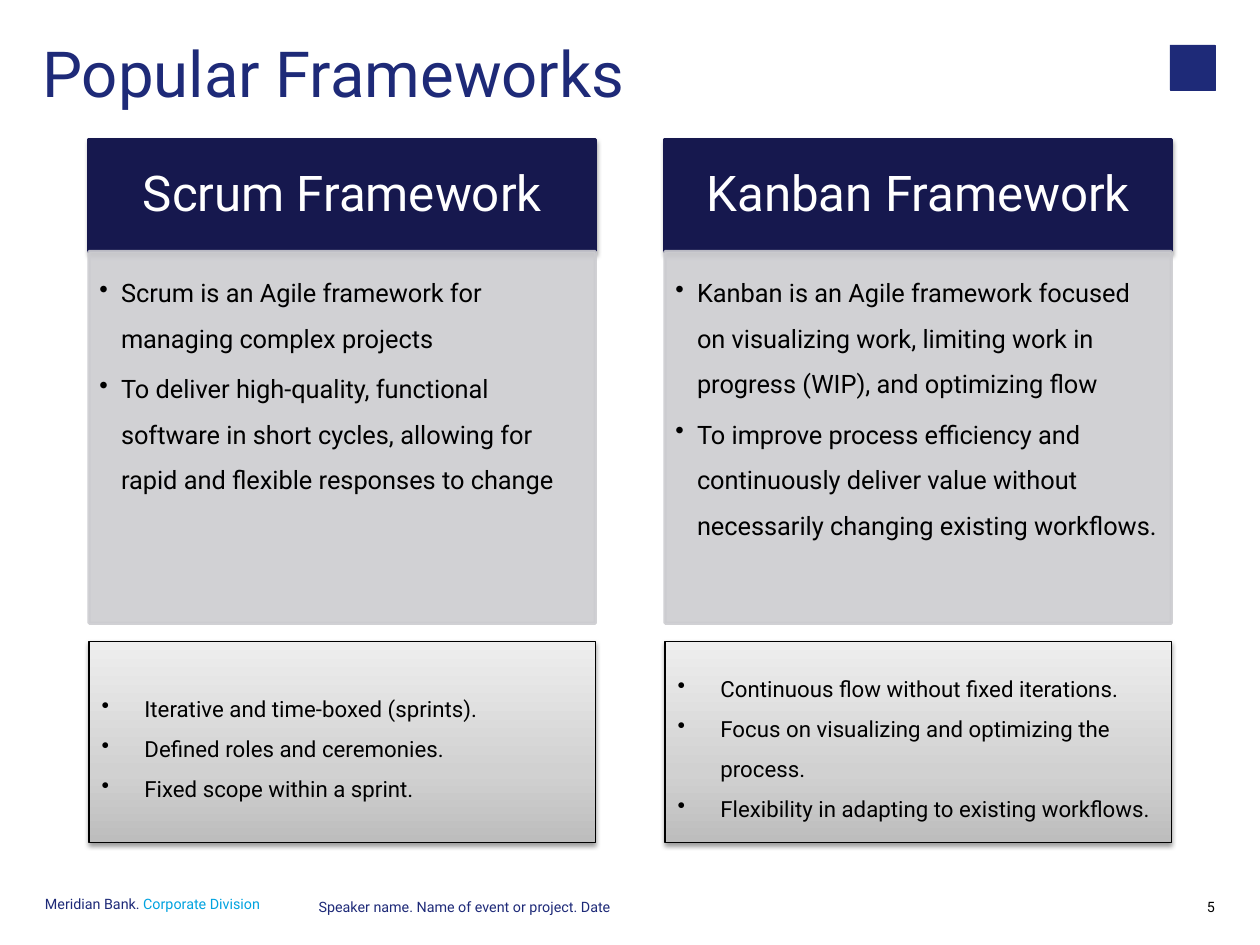
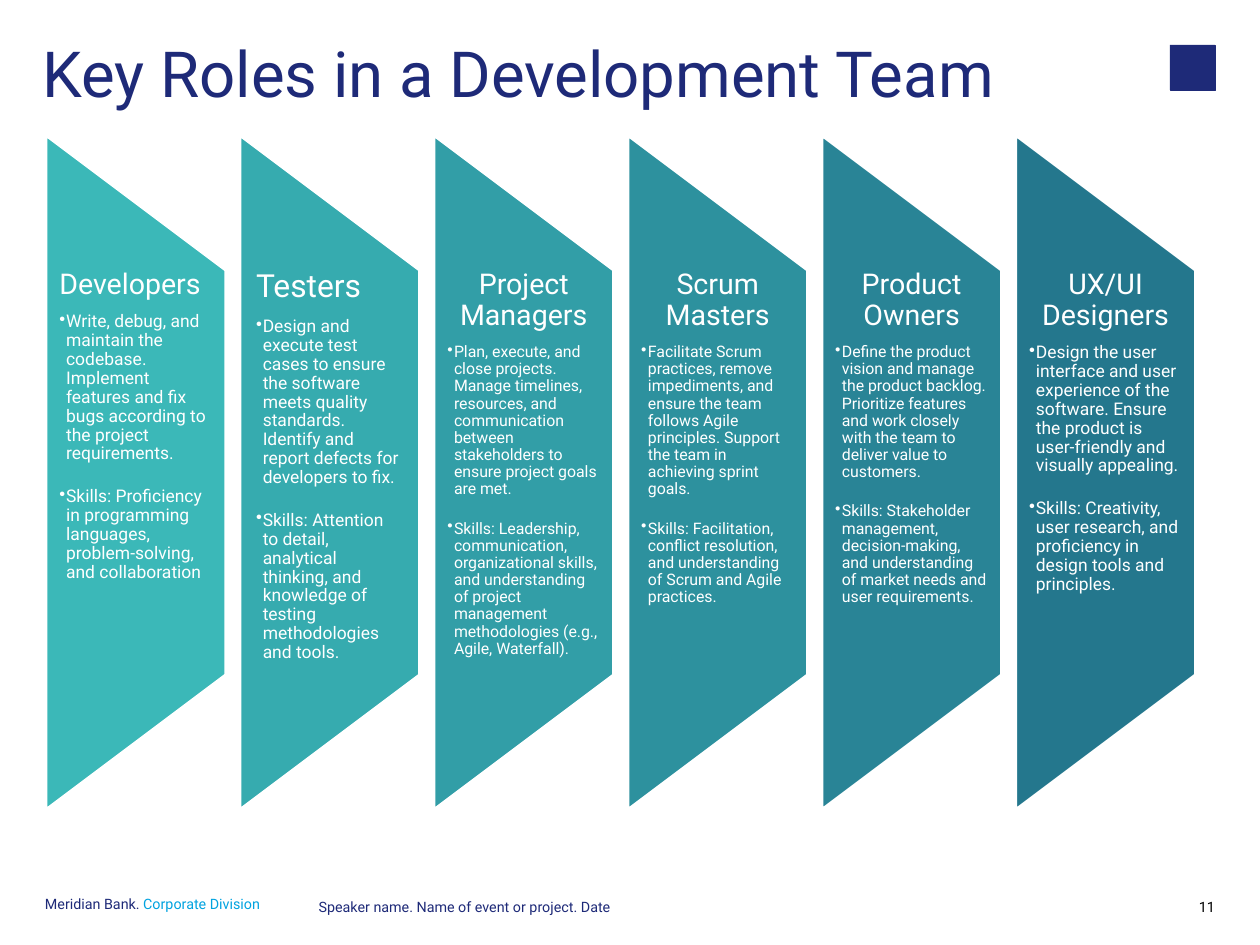
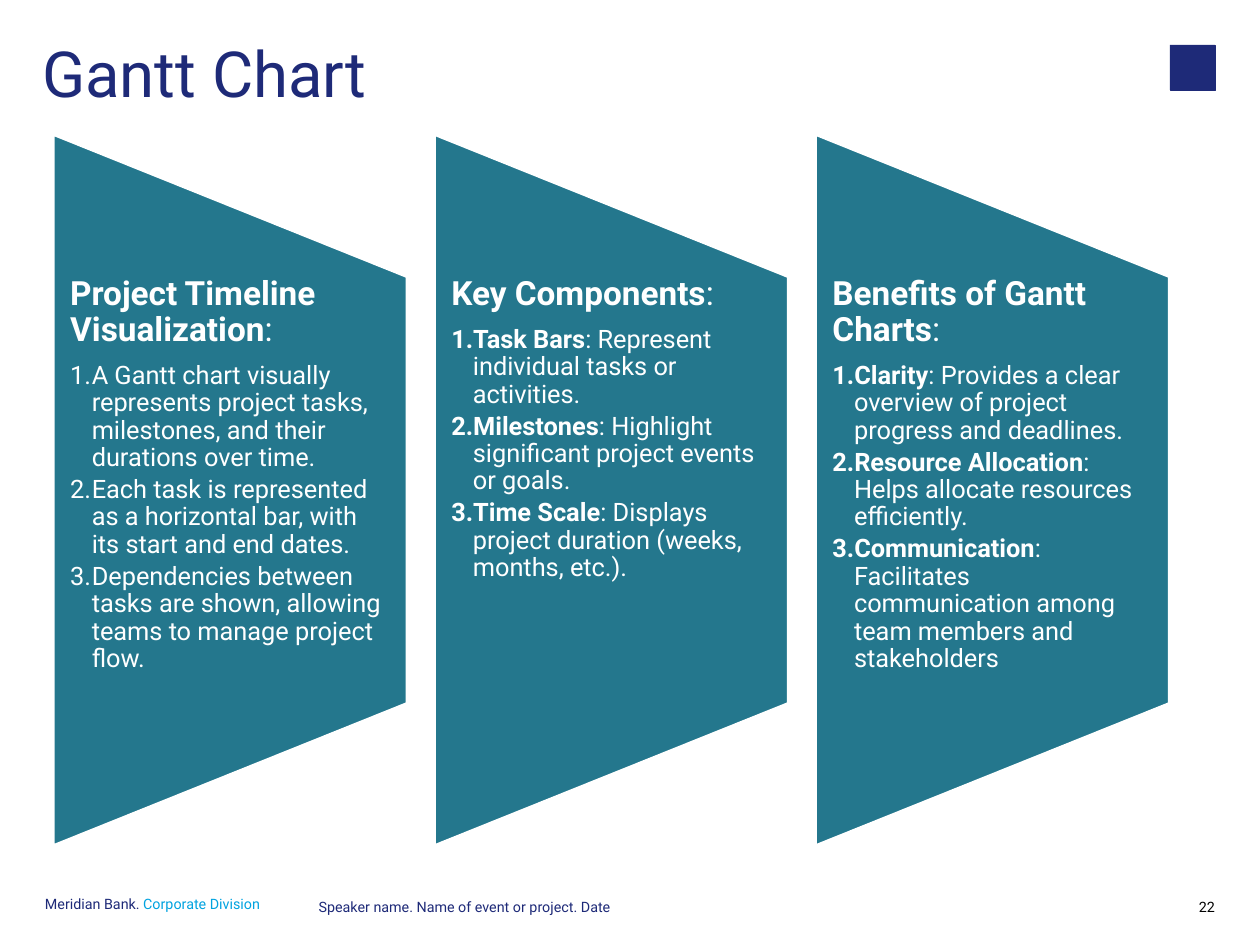
from copy import deepcopy
from dataclasses import dataclass

from lxml.etree import SubElement
from pptx import Presentation
from pptx.dml.color import RGBColor
from pptx.enum.shapes import MSO_SHAPE
from pptx.enum.text import MSO_ANCHOR, MSO_AUTO_SIZE, PP_ALIGN
from pptx.oxml.ns import qn
from pptx.util import Cm, Pt


@dataclass(frozen=True)
class Theme:
    font: str = "Roboto"
    # Colours
    blue: str = "1E2A78"
    sky: str = "00A3E0"
    navy: str = "16184E"
    gray: str = "CCCCD0"
    black: str = "000000"
    white: str = "FFFFFF"
    teal_light: str = "3BB8B8"
    teal_dark: str = "24778D"
    card_stops: tuple = ((0, "BDBDBD"), (0.35, "D1D1D1"), (1, "EEEEEE"))
    # Type sizes
    title: int = 40
    banner: int = 31
    heading: int = 21
    role: int = 18
    text: int = 16
    card: int = 14
    footer: int = 9
    # Spacing as a share of the type size
    after_heading: float = 0.42
    after_item: float = 0.18
    before_skills: float = 1.2


THEME = Theme()


def rgb(color):
    return RGBColor.from_string(color)


# ---------- Text ----------
def prepare_frame(frame, insets=(0, 0, 0, 0), anchor=MSO_ANCHOR.TOP):
    frame.word_wrap = True
    frame.auto_size = MSO_AUTO_SIZE.NONE
    frame.vertical_anchor = anchor
    (frame.margin_left, frame.margin_top,
     frame.margin_right, frame.margin_bottom) = map(Cm, insets)
    return frame


def set_bullet(paragraph, indent, numbered):
    properties = paragraph._p.get_or_add_pPr()
    properties.set("marL", str(Cm(indent)))
    properties.set("indent", str(-Cm(indent)))
    if numbered:
        SubElement(properties, qn("a:buAutoNum")).set("type", "arabicPeriod")
    else:
        SubElement(properties, qn("a:buChar")).set("char", "•")


def write(paragraph, text, size, color, align=PP_ALIGN.LEFT, line=0.9,
          before=0, after=0, indent=None, numbered=False):
    """Fill a paragraph; a (lead, rest) pair sets the lead in bold."""
    paragraph.alignment = align
    paragraph.line_spacing = line
    paragraph.space_before = Pt(before)
    paragraph.space_after = Pt(after)
    if indent:
        set_bullet(paragraph, indent, numbered)
    font = paragraph.font
    font.name, font.size, font.color.rgb = THEME.font, Pt(size), rgb(color)
    if isinstance(text, str):
        paragraph.add_run().text = text
        return
    for part, bold in zip(text, (True, False)):
        run = paragraph.add_run()
        run.text = part
        run.font.bold = bold


def write_list(frame, items, **style):
    for number, item in enumerate(items):
        paragraph = frame.add_paragraph() if number else frame.paragraphs[0]
        write(paragraph, item, **style)


def add_text_box(slide, box, insets=(0, 0, 0, 0)):
    return prepare_frame(slide.shapes.add_textbox(*map(Cm, box)).text_frame, insets)


# ---------- Shapes ----------
def add_block(slide, kind, box, fill, line, line_width):
    block = slide.shapes.add_shape(kind, *map(Cm, box))
    block.shadow.inherit = False
    block.fill.solid()
    block.fill.fore_color.rgb = rgb(fill)
    block.line.color.rgb = rgb(line)
    block.line.width = Pt(line_width)
    return block


def add_drop_shadow(block):
    effects = block.element.spPr.find(qn("a:effectLst"))
    shadow = SubElement(effects, qn("a:outerShdw"), blurRad=str(Pt(3.1)),
                        dist=str(Pt(1.6)), dir="5400000", rotWithShape="0")
    color = SubElement(shadow, qn("a:srgbClr"), val=THEME.black)
    SubElement(color, qn("a:alpha"), val="38000")


def make_translucent(block, percent):
    for color in block.element.spPr.iter(qn("a:srgbClr")):
        SubElement(color, qn("a:alpha"), val=str(percent * 1000))


def set_card_gradient(block):
    block.fill.gradient()
    block.fill.gradient_angle = 90
    stop_list = block.element.spPr.find(".//" + qn("a:gsLst"))
    stop_list.append(deepcopy(stop_list[0]))
    for stop, (position, color) in zip(block.fill.gradient_stops, THEME.card_stops):
        stop.position = position
        stop.color.rgb = rgb(color)


# ---------- Shared frame of every slide ----------
def add_framed_slide(deck, title, number):
    slide = deck.slides.add_slide(deck.slide_layouts[5])

    # Title
    heading = slide.shapes.title
    heading.left, heading.top, heading.width, heading.height = map(
        Cm, (0.94, 0.94, 24.05, 1.55))
    frame = prepare_frame(heading.text_frame)
    write(frame.paragraphs[0], title, THEME.title, THEME.blue)

    # Emblem
    add_block(slide, MSO_SHAPE.RECTANGLE, (26, 1, 1, 1), THEME.blue, THEME.blue, 0.25)

    # Footer
    owner = add_text_box(slide, (1, 19.95, 5.56, 0.5)).paragraphs[0]
    write(owner, "Meridian Bank. ", THEME.footer, THEME.blue, line=Pt(9))
    division = owner.add_run()
    division.text = "Corporate Division"
    division.font.color.rgb = rgb(THEME.sky)
    event = add_text_box(slide, (7.08, 20.02, 13.72, 0.5)).paragraphs[0]
    write(event, "Speaker name. Name of event or project. Date",
          THEME.footer, THEME.blue, line=Pt(9))
    page = add_text_box(slide, (26, 20.02, 1, 0.5)).paragraphs[0]
    write(page, str(number), THEME.footer, THEME.black, PP_ALIGN.RIGHT, line=Pt(9))
    return slide


# ---------- Regions ----------
def add_framework(slide, box, name, points, traits):
    left, top, width, height = box
    banner_height, card_height, gap = 2.49, 4.47, 0.4
    body_height = height - banner_height - card_height - gap

    # Banner
    banner = add_block(slide, MSO_SHAPE.RECTANGLE, (left, top, width, banner_height),
                       THEME.navy, THEME.navy, 2)
    add_drop_shadow(banner)
    frame = prepare_frame(banner.text_frame, (0.61, 0.36, 0.61, 0.36), MSO_ANCHOR.MIDDLE)
    write(frame.paragraphs[0], name, THEME.banner, THEME.white, PP_ALIGN.CENTER)

    # Description
    body = add_block(slide, MSO_SHAPE.RECTANGLE,
                     (left, top + banner_height, width, body_height),
                     THEME.gray, THEME.gray, 2)
    make_translucent(body, 90)
    frame = prepare_frame(body.text_frame, (0.23, 0.23, 0.3, 0.36))
    write_list(frame, points, size=THEME.text, color=THEME.black, line=1.5,
               after=THEME.text * THEME.after_item, indent=0.48)

    # Traits
    card = add_block(slide, MSO_SHAPE.RECTANGLE,
                     (left, top + height - card_height, width, card_height),
                     THEME.gray, THEME.black, 0.75)
    set_card_gradient(card)
    add_drop_shadow(card)
    frame = prepare_frame(card.text_frame, (0.28, 0.15, 0.28, 0.15), MSO_ANCHOR.MIDDLE)
    write_list(frame, traits, size=THEME.card, color=THEME.black, line=1.5, indent=0.95)


def add_pillar(slide, box, fill, inset):
    """Draw a tapering pillar and return the text frame of its middle part."""
    left, top, width, height = box
    # The preset lies on its side, so it is centred on the box and turned upright.
    turned = (left + (width - height) / 2, top + (height - width) / 2, height, width)
    pillar = add_block(slide, MSO_SHAPE.FLOWCHART_MANUAL_OPERATION, turned,
                       fill, THEME.white, 2)
    pillar.rotation = 270
    middle = (left, top + height / 5, width, height * 3 / 5)
    return add_text_box(slide, middle, (inset, 0, inset, 0))


def add_role(slide, box, fill, role):
    name, name_size, size, align, duty, skills = role
    frame = add_pillar(slide, box, fill, 0.36 if name_size > THEME.role else 0.3)
    write(frame.paragraphs[0], name, name_size, THEME.white, align,
          after=name_size * THEME.after_heading)
    for text, before in ((duty, 0), (skills, size * THEME.before_skills)):
        write(frame.add_paragraph(), text, size, THEME.white, before=before,
              after=size * THEME.after_item, indent=0.15)


def add_topic(slide, box, heading, points):
    frame = add_pillar(slide, box, THEME.teal_dark, 0.38)
    write(frame.paragraphs[0], (heading, ":"), THEME.heading, THEME.white,
          after=THEME.heading * THEME.after_heading)
    for point in points:
        write(frame.add_paragraph(), point, THEME.text, THEME.white,
              after=THEME.text * THEME.after_item, indent=0.48, numbered=True)


def blend(start, end, share):
    return str(RGBColor(*(round(a + (b - a) * share)
                          for a, b in zip(rgb(start), rgb(end)))))


# ---------- Content ----------
FRAMEWORKS = (
    ("Scrum Framework",
     ("Scrum is an Agile framework for managing complex projects",
      "To deliver high-quality, functional software in short cycles, allowing for "
      "rapid and flexible responses to change"),
     ("Iterative and time-boxed (sprints).",
      "Defined roles and ceremonies.",
      "Fixed scope within a sprint.")),
    ("Kanban Framework",
     ("Kanban is an Agile framework focused on visualizing work, limiting work in "
      "progress (WIP), and optimizing flow",
      "To improve process efficiency and continuously deliver value without "
      "necessarily changing existing workflows."),
     ("Continuous flow without fixed iterations.",
      "Focus on visualizing and optimizing the process.",
      "Flexibility in adapting to existing workflows.")),
)

# Name, name size, text size, name alignment, duty, skills
ROLES = (
    ("Developers", THEME.role, 11, PP_ALIGN.LEFT,
     "Write, debug, and maintain the codebase. Implement features and fix bugs "
     "according to the project requirements.",
     "Skills: Proficiency in programming languages, problem-solving, and collaboration"),
    ("Testers", 20, 11, PP_ALIGN.LEFT,
     "Design and execute test cases to ensure the software meets quality standards. "
     "Identify and report defects for developers to fix.",
     "Skills: Attention to detail, analytical thinking, and knowledge of testing "
     "methodologies and tools."),
    ("Project Managers", THEME.role, 10, PP_ALIGN.CENTER,
     "Plan, execute, and close projects. Manage timelines, resources, and "
     "communication between stakeholders to ensure project goals are met.",
     "Skills: Leadership, communication, organizational skills, and understanding of "
     "project management methodologies (e.g., Agile, Waterfall)."),
    ("Scrum Masters", THEME.role, 10, PP_ALIGN.CENTER,
     "Facilitate Scrum practices, remove impediments, and ensure the team follows "
     "Agile principles. Support the team in achieving sprint goals.",
     "Skills: Facilitation, conflict resolution, and understanding of Scrum and "
     "Agile practices."),
    ("Product Owners", THEME.role, 10, PP_ALIGN.CENTER,
     "Define the product vision and manage the product backlog. Prioritize features "
     "and work closely with the team to deliver value to customers.",
     "Skills: Stakeholder management, decision-making, and understanding of market "
     "needs and user requirements."),
    ("UX/UI Designers", THEME.role, 11, PP_ALIGN.CENTER,
     "Design the user interface and user experience of the software. Ensure the "
     "product is user-friendly and visually appealing.",
     "Skills: Creativity, user research, and proficiency in design tools and "
     "principles."),
)

TOPICS = (
    ("Project Timeline Visualization",
     ("A Gantt chart visually represents project tasks, milestones, and their "
      "durations over time.",
      "Each task is represented as a horizontal bar, with its start and end dates.",
      "Dependencies between tasks are shown, allowing teams to manage project flow.")),
    ("Key Components",
     (("Task Bars", ": Represent individual tasks or activities."),
      ("Milestones", ": Highlight significant project events or goals."),
      ("Time Scale", ": Displays project duration (weeks, months, etc.)."))),
    ("Benefits of Gantt Charts",
     (("Clarity", ": Provides a clear overview of project progress and deadlines."),
      ("Resource Allocation", ": Helps allocate resources efficiently."),
      ("Communication",
       ": Facilitates communication among team members and stakeholders"))),
)


# ---------- Slides ----------
def build_frameworks(deck):
    slide = add_framed_slide(deck, "Popular Frameworks", 5)
    for column, framework in enumerate(FRAMEWORKS):
        add_framework(slide, (1.98 + 12.8 * column, 3.1, 11.25, 15.62), *framework)


def build_roles(deck):
    slide = add_framed_slide(deck, "Key Roles in a Development Team", 11)
    for column, role in enumerate(ROLES):
        fill = blend(THEME.teal_light, THEME.teal_dark, column / (len(ROLES) - 1))
        add_role(slide, (1.02 + 4.31 * column, 3, 4, 15), fill, role)


def build_gantt(deck):
    slide = add_framed_slide(deck, "Gantt Chart", 22)
    for column, topic in enumerate(TOPICS):
        add_topic(slide, (1.18 + 8.47 * column, 2.98, 7.87, 15.82), *topic)


def main():
    deck = Presentation()
    deck.slide_width, deck.slide_height = Cm(28), Cm(21)
    build_frameworks(deck)
    build_roles(deck)
    build_gantt(deck)
    deck.save("out.pptx")


if __name__ == "__main__":
    main()
